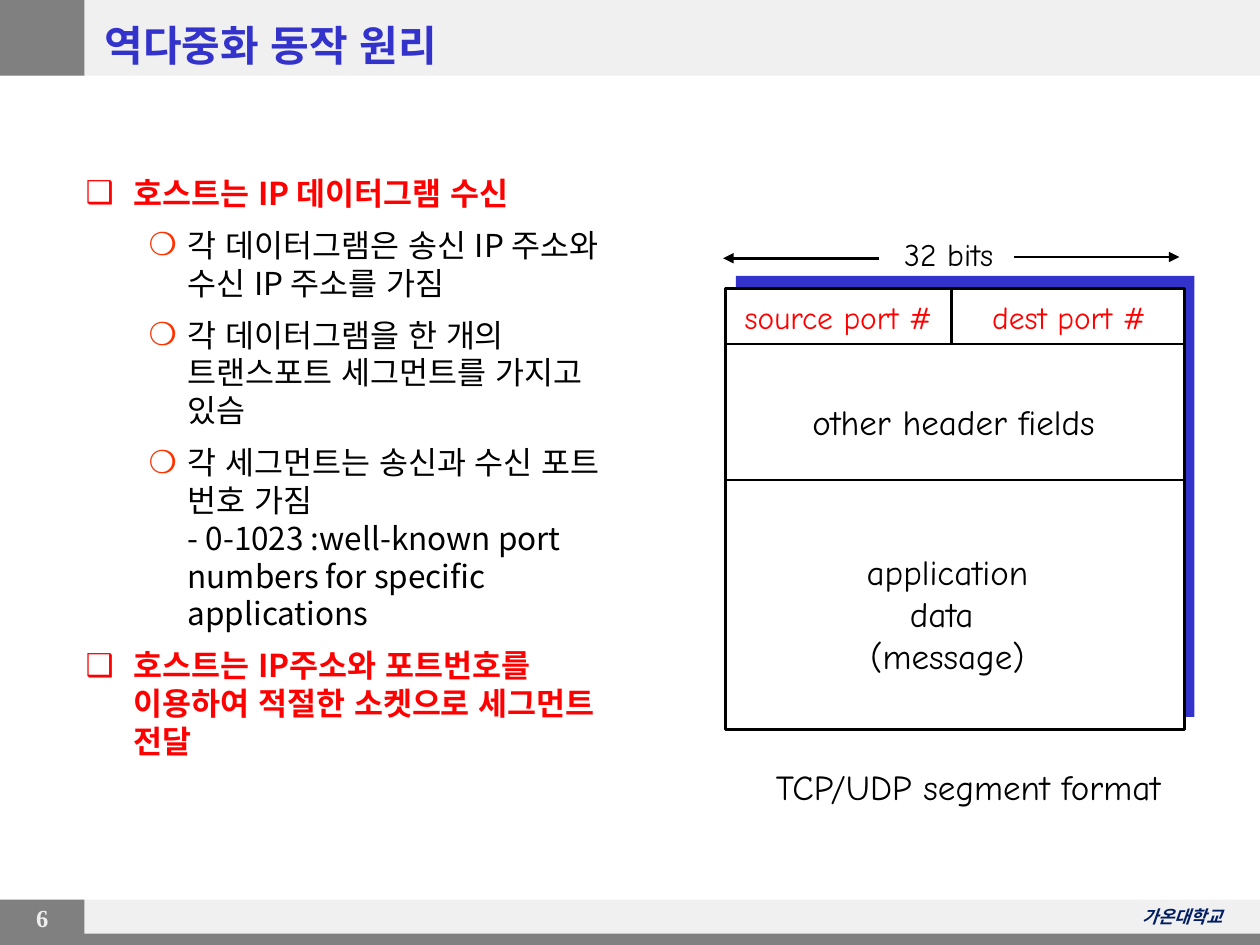
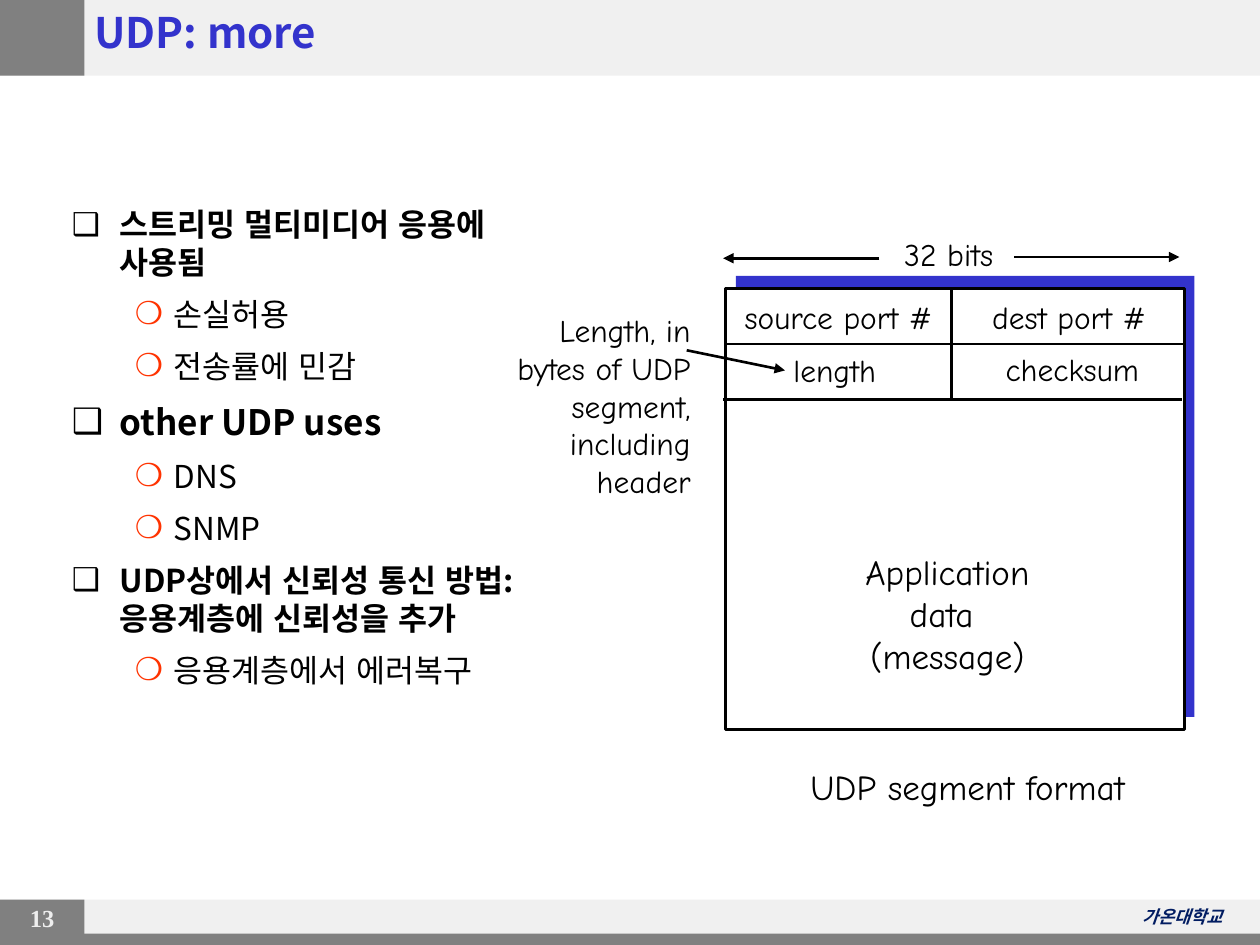
"""Build two slides on demultiplexing and UDP segment formats."""
from copy import deepcopy
from dataclasses import dataclass

from lxml.etree import SubElement
from pptx import Presentation
from pptx.dml.color import RGBColor
from pptx.enum.lang import MSO_LANGUAGE_ID
from pptx.enum.shapes import MSO_CONNECTOR, MSO_SHAPE
from pptx.enum.text import MSO_ANCHOR, MSO_AUTO_SIZE, PP_ALIGN
from pptx.oxml.ns import qn
from pptx.util import Inches, Pt


@dataclass(frozen=True)
class Theme:
    blue: str = "3333CC"
    red: str = "FF0000"
    orange: str = "FF3300"
    black: str = "000000"
    white: str = "FFFFFF"
    gray: str = "808080"
    pale: str = "F0F0F0"
    number: str = "EEEEEE"
    navy: str = "011C61"
    korean: str = "Noto Sans CJK KR"
    comic: str = "Comic Neue"
    serif: str = "Times New Roman"
    title_size: int = 24
    large_size: int = 20
    text_size: int = 18
    number_size: int = 14
    footer_size: int = 10
    line_width: float = 1.5
    space_before: float = 0.45


THEME = Theme()


@dataclass(frozen=True)
class Frame:
    left: float
    top: float
    width: float
    height: float

    def lengths(self) -> list:
        """Give the four lengths in the order python-pptx takes them."""
        return [Inches(value) for value in (self.left, self.top, self.width, self.height)]


@dataclass(frozen=True)
class Band:
    frame: Frame
    color: str


@dataclass(frozen=True)
class Item:
    text: str
    level: int = 0
    color: str = THEME.black
    size: int = THEME.text_size


@dataclass(frozen=True)
class Label:
    text: str
    frame: Frame
    size: int = THEME.text_size
    color: str = THEME.black
    align: PP_ALIGN = PP_ALIGN.CENTER


@dataclass(frozen=True)
class Line:
    start: tuple[float, float]
    end: tuple[float, float]
    arrow: bool = False


@dataclass(frozen=True)
class Page:
    number: int
    title: str
    title_frame: Frame
    body_frame: Frame
    items: list[Item]
    port_color: str
    labels: list[Label]
    lines: list[Line]


@dataclass(frozen=True)
class Level:
    bullet: str
    margin: float
    hanging: float
    bold: bool
    bullet_color: str | None = None


LEVELS = [
    Level("❑", 0.38, 0.38, True),
    Level("❍", 0.81, 0.31, False, THEME.orange),
]

BANDS = [
    Band(Frame(0, 7.14, 10, 0.36), THEME.pale),
    Band(Frame(0, 7.14, 0.67, 0.36), THEME.gray),
    Band(Frame(0, 0, 10, 0.6), THEME.pale),
    Band(Frame(0, 0, 0.67, 0.6), THEME.gray),
    Band(Frame(0, 7.41, 10, 0.09), THEME.gray),
]

SEGMENT = Frame(5.76, 2.29, 3.64, 3.5)
SEGMENT_SHADOW = Frame(5.84, 2.19, 3.64, 3.5)
SEGMENT_LINES = [
    Line((5.75, 2.73), (9.39, 2.73)),
    Line((7.55, 2.72), (7.55, 2.29)),
    Line((8.05, 2.04), (9.36, 2.04), arrow=True),
    Line((6.98, 2.05), (5.74, 2.05), arrow=True),
]

PAGES = [
    Page(
        6, "역다중화 동작 원리", Frame(0.73, 0.1, 8.82, 0.51), Frame(0.58, 1.33, 4.5, 3.82),
        [
            Item("호스트는 IP 데이터그램 수신", color=THEME.red),
            Item("각 데이터그램은 송신 IP 주소와 수신 IP 주소를 가짐", 1),
            Item("각 데이터그램을 한 개의 트랜스포트 세그먼트를 가지고 있슴", 1),
            Item("각 세그먼트는 송신과 수신 포트 번호 가짐\n"
                 "- 0-1023 :well-known port numbers for specific applications", 1),
            Item("호스트는 IP주소와 포트번호를 이용하여 적절한 소켓으로 세그먼트 전달", color=THEME.red),
        ],
        THEME.red,
        [
            Label("application\ndata \n(message)", Frame(6.73, 4.32, 1.58, 1.1), THEME.large_size),
            Label("other header fields", Frame(6.2, 3.13, 2.74, 0.43), THEME.large_size),
            Label("TCP/UDP segment format", Frame(5.91, 6.03, 3.55, 0.43), THEME.large_size),
        ],
        [Line((5.76, 3.81), (9.4, 3.81))],
    ),
    Page(
        13, "UDP: more", Frame(0.65, 0, 9.12, 0.5), Frame(0.47, 1.58, 4.17, 5.08),
        [
            Item("스트리밍 멀티미디어 응용에 사용됨"),
            Item("손실허용", 1),
            Item("전송률에 민감", 1),
            Item("other UDP uses", size=THEME.large_size),
            Item("DNS", 1),
            Item("SNMP", 1),
            Item("UDP상에서 신뢰성 통신 방법: 응용계층에 신뢰성을 추가"),
            Item("응용계층에서 에러복구", 1),
        ],
        THEME.black,
        [
            Label("Application\ndata \n(message)", Frame(6.7, 4.32, 1.64, 1.1), THEME.large_size),
            Label("UDP segment format", Frame(6.23, 6.03, 2.9, 0.43), THEME.large_size),
            Label("length", Frame(6.16, 2.74, 0.93, 0.4)),
            Label("checksum", Frame(7.85, 2.73, 1.32, 0.4)),
            Label("Length, in\nbytes of UDP\nsegment,\nincluding\nheader",
                  Frame(3.82, 2.42, 1.76, 1.6), align=PP_ALIGN.RIGHT),
        ],
        [
            Line((5.74, 3.17), (9.38, 3.17)),
            Line((7.55, 3.17), (7.55, 2.74)),
            Line((5.45, 2.78), (6.23, 2.94), arrow=True),
        ],
    ),
]


def rgb(color: str) -> RGBColor:
    """Turn a hexadecimal name into a colour."""
    return RGBColor.from_string(color)


def write(para, text: str, *, size: int, color: str, font: str,
          bold: bool = False, italic: bool = False, align=None) -> None:
    """Write text in a paragraph, with a line break at each newline."""
    para.alignment = align
    for index, part in enumerate(text.split("\n")):
        if index:
            para.add_line_break()
            para._p[-1].append(deepcopy(para.runs[0]._r.rPr))
        span = para.add_run()
        span.text = part
        span.font.size = Pt(size)
        span.font.name = font
        span.font.bold = bold
        span.font.italic = italic
        span.font.language_id = MSO_LANGUAGE_ID.KOREAN
        span.font.color.rgb = rgb(color)
        SubElement(span._r.rPr, qn("a:ea")).set("typeface", font)


def add_rectangle(page, frame: Frame, fill: str, outline: str | None = None):
    """Draw a flat rectangle, outlined if a colour is given."""
    box = page.shapes.add_shape(MSO_SHAPE.RECTANGLE, *frame.lengths())
    box.shadow.inherit = False
    box.fill.solid()
    box.fill.fore_color.rgb = rgb(fill)
    if outline:
        box.line.color.rgb = rgb(outline)
        box.line.width = Pt(THEME.line_width)
    else:
        box.line.fill.background()
    return box


def add_line(page, line: Line) -> None:
    """Draw a straight line, with an arrowhead at its end if wanted."""
    points = [Inches(value) for value in (*line.start, *line.end)]
    connector = page.shapes.add_connector(MSO_CONNECTOR.STRAIGHT, *points)
    connector.line.color.rgb = rgb(THEME.black)
    connector.line.width = Pt(THEME.line_width)
    if line.arrow:
        SubElement(connector.line._get_or_add_ln(), qn("a:tailEnd")).set("type", "triangle")
    SubElement(connector._element.spPr, qn("a:effectLst"))


def add_text(page, text: str, frame: Frame, *, wrap: bool = False, **style) -> None:
    """Add a text box with one paragraph for each line."""
    text_frame = page.shapes.add_textbox(*frame.lengths()).text_frame
    text_frame.word_wrap = wrap
    for index, part in enumerate(text.split("\n")):
        para = text_frame.add_paragraph() if index else text_frame.paragraphs[0]
        write(para, part, **style)


def place(holder, frame: Frame, anchor: MSO_ANCHOR):
    """Move a placeholder and return its text frame."""
    holder.left, holder.top, holder.width, holder.height = frame.lengths()
    text_frame = holder.text_frame
    text_frame.auto_size = MSO_AUTO_SIZE.NONE
    text_frame.vertical_anchor = anchor
    text_frame.word_wrap = True
    return text_frame


def fill_list(text_frame, items: list[Item]) -> None:
    """Fill the body with bulleted paragraphs."""
    for index, item in enumerate(items):
        level = LEVELS[item.level]
        para = text_frame.add_paragraph() if index else text_frame.paragraphs[0]
        para.level = item.level
        para.space_before = Pt(THEME.space_before * item.size)
        properties = para._p.get_or_add_pPr()
        properties.set("marL", str(Inches(level.margin)))
        properties.set("indent", str(-Inches(level.hanging)))
        if level.bullet_color:
            bullet_color = SubElement(properties, qn("a:buClr"))
            SubElement(bullet_color, qn("a:srgbClr")).set("val", level.bullet_color)
        SubElement(properties, qn("a:buChar")).set("char", level.bullet)
        write(para, item.text, size=item.size, color=item.color,
              font=THEME.korean, bold=level.bold, align=PP_ALIGN.LEFT)


def add_segment(page, content: Page) -> None:
    """Draw the segment diagram with its shared and own parts."""
    add_rectangle(page, SEGMENT_SHADOW, THEME.blue)
    add_rectangle(page, SEGMENT, THEME.white, THEME.black)
    shared = [
        Label("source port #", Frame(5.74, 2.32, 1.83, 0.4), color=content.port_color),
        Label("dest port #", Frame(7.69, 2.32, 1.59, 0.4), color=content.port_color),
        Label("32 bits", Frame(7.01, 1.82, 1.04, 0.4)),
    ]
    for line in SEGMENT_LINES + content.lines:
        add_line(page, line)
    for label in shared + content.labels:
        add_text(page, label.text, label.frame, size=label.size, color=label.color,
                 font=THEME.comic, align=label.align)


def add_page(deck, layout, content: Page):
    """Add one slide with title, list, diagram and footer texts."""
    page = deck.slides.add_slide(layout)
    title = place(page.shapes.title, content.title_frame, MSO_ANCHOR.MIDDLE)
    write(title.paragraphs[0], content.title, size=THEME.title_size, color=THEME.blue,
          font=THEME.korean, bold=True, align=PP_ALIGN.LEFT)
    fill_list(place(page.placeholders[1], content.body_frame, MSO_ANCHOR.TOP), content.items)
    add_segment(page, content)
    add_text(page, str(content.number), Frame(0.04, 7.12, 0.59, 0.33), wrap=True,
             size=THEME.number_size, color=THEME.number, font=THEME.serif,
             bold=True, align=PP_ALIGN.CENTER)
    add_text(page, "가온대학교", Frame(8.15, 7.14, 1.65, 0.27), wrap=True,
             size=THEME.footer_size, color=THEME.navy, font=THEME.korean,
             bold=True, italic=True, align=PP_ALIGN.RIGHT)
    return page


def main() -> None:
    """Build and save the deck."""
    deck = Presentation()
    deck.slide_width, deck.slide_height = Inches(10), Inches(7.5)
    layout = deck.slide_layouts[1]
    pages = [add_page(deck, layout, content) for content in PAGES]
    for band in BANDS:
        layout.shapes._spTree.append(add_rectangle(pages[0], band.frame, band.color)._element)
    deck.save("out.pptx")


if __name__ == "__main__":
    main()
